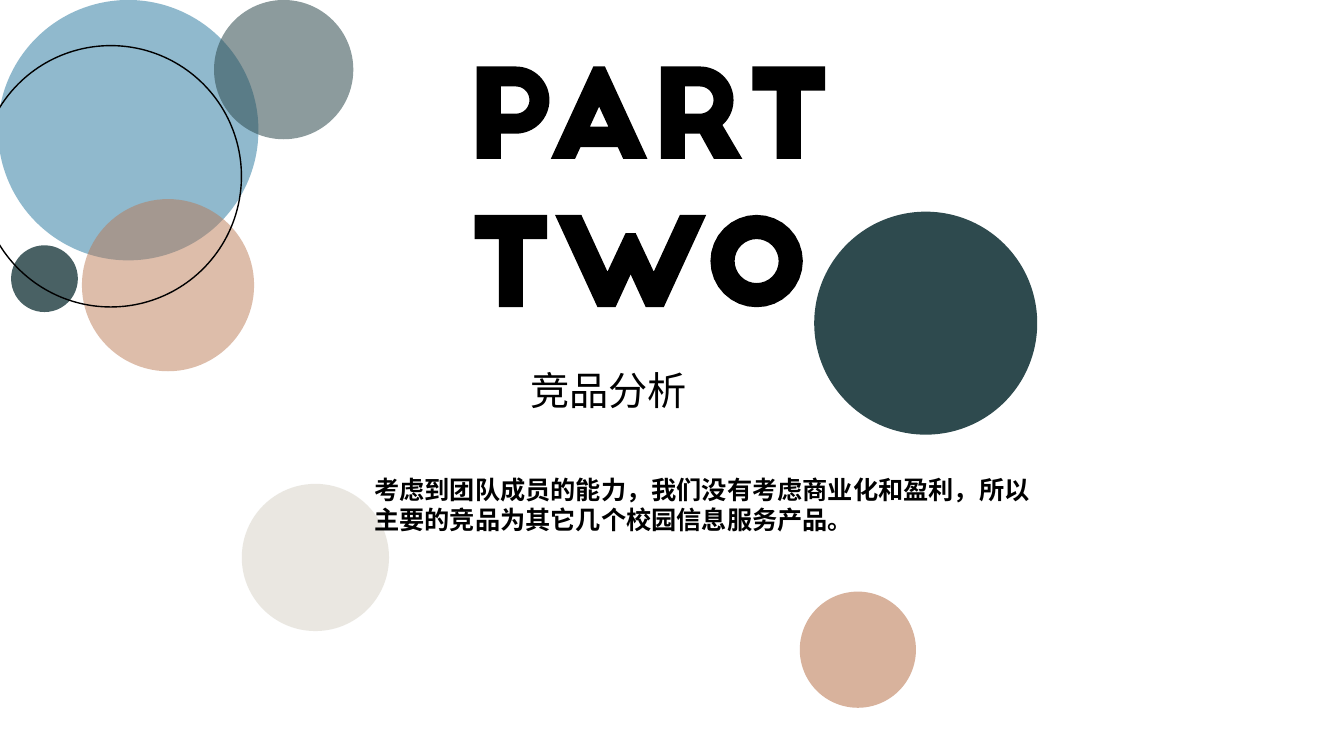
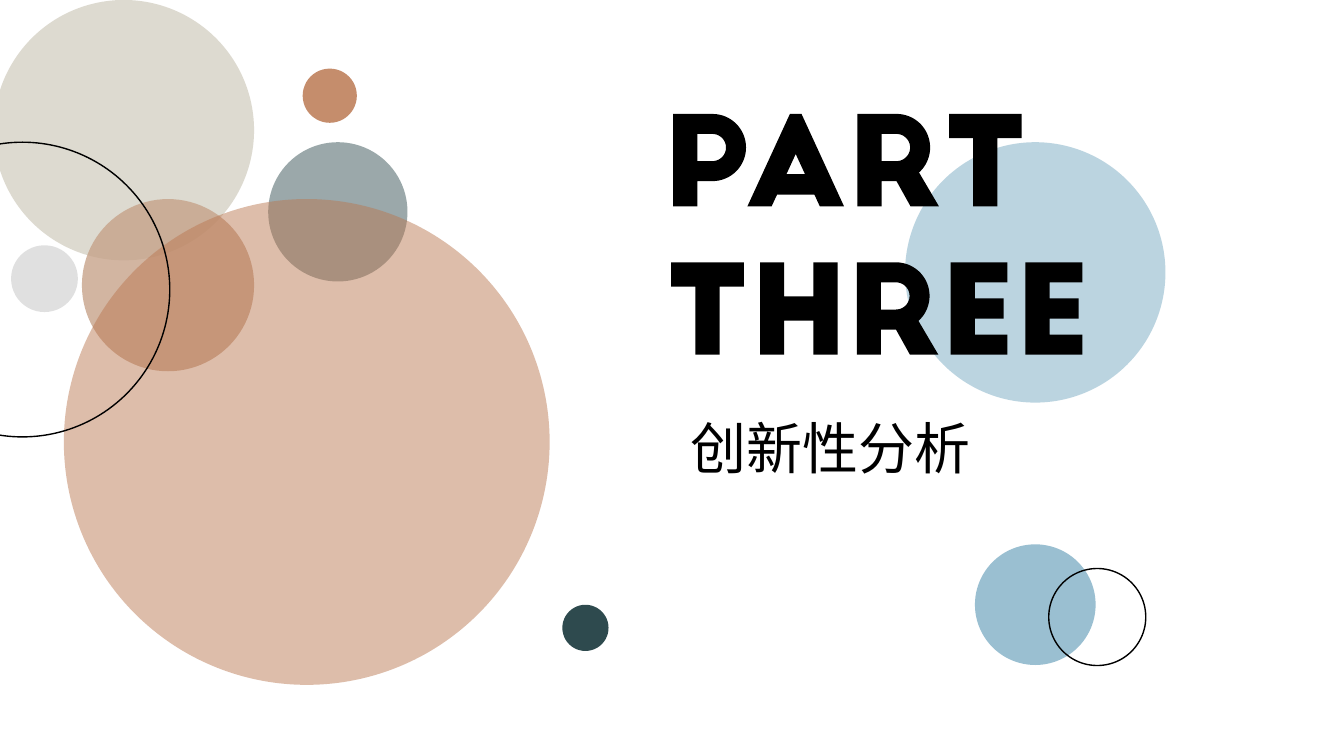
from math import cos, radians, sin

from pptx import Presentation
from pptx.dml.color import RGBColor
from pptx.enum.shapes import MSO_SHAPE
from pptx.enum.text import MSO_AUTO_SIZE
from pptx.oxml.ns import qn
from pptx.util import Pt

OVAL = MSO_SHAPE.OVAL
FIT = MSO_AUTO_SIZE.SHAPE_TO_FIT_TEXT
FONT = "Noto Sans CJK SC"

BLACK = RGBColor(0x00, 0x00, 0x00)
BLUE = RGBColor(0x8B, 0xB6, 0xCB)
TEAL = RGBColor(0x2E, 0x4A, 0x4E)
CLAY = RGBColor(0xBA, 0x76, 0x4F)
SAND = RGBColor(0xD9, 0xD5, 0xCA)
TAN = RGBColor(0xC5, 0xA0, 0x86)
GREY = RGBColor(0xBF, 0xBF, 0xBF)

# Circle sizes that both slides use
BIG, MID, SMALL, TINY = 186, 123, 99.5, 47.7

# Circles: left, top, size, colour, opacity in percent
TWO_DISCS = [
    (-1.4, 0, BIG, BLUE, 95),
    (152.9, 0, SMALL, TEAL, 55),
    (58.5, 142.2, MID, CLAY, 48),
    (571.3, 422.6, 83, CLAY, 56),
    (7.9, 175.2, TINY, TEAL, 87),
    (581.6, 151.2, 159.3, TEAL, 100),
    (172.7, 345.6, 105.2, SAND, 55),
]
THREE_DISCS = [
    (646.5, 101.6, BIG, BLUE, 58),
    (-4.5, 0, BIG, SAND, 87),
    (191.6, 101.6, SMALL, TEAL, 48),
    (58.5, 142.2, MID, TAN, 77),
    (216.2, 49, 38.7, CLAY, 83),
    (45.6, 142.2, 347, CLAY, 48),
    (7.9, 175.2, TINY, GREY, 48),
    (401.7, 432, 33, TEAL, 100),
    (696.4, 388.8, 86.2, BLUE, 87),
]

# Rings: left, top, size
TWO_RINGS = [(-14.2, 32.6, 186.7)]
THREE_RINGS = [(-89.2, 101.6, 210.5), (749.1, 406.1, 69.3)]

# Poster lettering
CAP = 66       # letter height
STEM = 17.3    # stroke width
PITCH = 106    # from one line of the title to the next
SLOPE = 0.46   # sideways run of a slanted edge per point of height
BOWL = 24      # outer radius of the bowl in P and R
ARM = 14.4     # thickness of the arms of E

# Gap before a letter, by pair; a space stands for the start of a word
KERN = {" P": 1.5, "PA": 1, "AR": 9.5, "RT": 7.2, "TW": 5.6, "WO": 3,
        "TH": 11.6, "HR": 13.7, "RE": 8.7, "EE": 12.9}


# Outline helpers
def arc(x, y, size, start=0, end=360, steps=32):
    """Points along an arc, clockwise from start to end in degrees."""
    turns = [radians(start + (end - start) * i / steps) for i in range(steps + 1)]
    return [(x + size * cos(a), y + size * sin(a)) for a in turns]


def fall(top, y):
    """Point at height y on an edge that leans right going down."""
    return top + SLOPE * y, y


def rise(top, y):
    """Point at height y on an edge that leans left going down."""
    return top - SLOPE * y, y


def mirror(half, mid):
    """Complete an outline with its reflection about x = mid."""
    return half + [(2 * mid - x, y) for x, y in reversed(half)]


# Letters: each returns a list of closed outlines
def bowl_form(end, leg):
    """Stem and bowl; the bowl stops at angle end and runs into leg."""
    mid = 28
    outer = [(0, 0), *arc(mid, BOWL, BOWL, -90, end), *leg,
             (STEM, 2 * BOWL), (STEM, CAP), (0, CAP)]
    hole = 9.7
    inner = [(STEM, BOWL - hole), *arc(mid, BOWL, hole, -90, 90),
             (STEM, BOWL + hole)]
    return [outer, inner]


def form_p():
    return bowl_form(90, [])


def form_r():
    return bowl_form(48, [(58.3, CAP), (38, CAP), (28, 2 * BOWL)])


def form_a():
    mid = 34.5
    outside = SLOPE * CAP
    inside = outside + STEM
    foot, bar = 57.6, 43
    outer = mirror([rise(inside, foot), rise(inside, CAP),
                    rise(outside, CAP), rise(outside, 0)], mid)
    peak = (inside - mid) / SLOPE
    hole = mirror([(mid, peak), rise(inside, bar)], mid)
    return [outer, hole]


def form_t():
    return [mirror([(STEM, CAP), (STEM, STEM), (0, STEM), (0, 0)], 1.5 * STEM)]


def form_h():
    top, base = (CAP - STEM) / 2, (CAP + STEM) / 2
    half = [(STEM, base), (STEM, CAP), (0, CAP), (0, 0), (STEM, 0), (STEM, top)]
    return [mirror(half, 27.7)]


def form_w():
    mid, notch, crook, peak = 54, 42.5, 40.6, 13
    outer_v = mid + SLOPE * notch
    half = [(mid, notch), rise(outer_v, CAP), fall(0, CAP), fall(0, 0),
            fall(18.8, 0), fall(18.8, crook), (50.4, peak)]
    return [mirror(half, mid)]


def form_o():
    mid = CAP / 2
    return [arc(mid, mid, mid), arc(mid, mid, mid - STEM)]


def form_e():
    step = (CAP - ARM) / 2
    arms = []
    for row, reach in enumerate((40.6, 38, 40.6)):
        top = row * step
        arms += [(STEM, top), (reach, top), (reach, top + ARM), (STEM, top + ARM)]
    return [[(0, 0), *arms, (0, CAP)]]


LETTERS = {"P": form_p(), "R": form_r(), "A": form_a(), "T": form_t(),
           "H": form_h(), "W": form_w(), "O": form_o(), "E": form_e()}


def set_word(word, x, y):
    """Outlines of a word, letter after letter from its top left corner."""
    lines = []
    last = " "
    for letter in word:
        x += KERN.get(last + letter, 0)
        form = LETTERS[letter]
        lines += [[(x + dx, y + dy) for dx, dy in line] for line in form]
        x += max(dx for dx, dy in form[0])
        last = letter
    return lines


# Slide elements
def paint(shape, color):
    shape.shadow.inherit = False
    shape.fill.solid()
    shape.fill.fore_color.rgb = color
    shape.line.fill.background()


def add_oval(slide, x, y, size):
    return slide.shapes.add_shape(OVAL, Pt(x), Pt(y), Pt(size), Pt(size))


def add_disc(slide, x, y, size, color, alpha):
    disc = add_oval(slide, x, y, size)
    paint(disc, color)
    if alpha < 100:
        tint = disc.element.spPr.find(qn("a:solidFill"))[0]
        tint.append(tint.makeelement(qn("a:alpha"), {"val": str(alpha * 1000)}))


def add_ring(slide, x, y, size):
    ring = add_oval(slide, x, y, size)
    ring.shadow.inherit = False
    ring.fill.background()
    ring.line.color.rgb = BLACK
    ring.line.width = Pt(1)


def add_title(slide, x, y, words):
    """Draw stacked words as one outline shape."""
    pen = None
    for row, word in enumerate(words):
        for line in set_word(word, x, y + row * PITCH):
            first, *rest = [(Pt(px), Pt(py)) for px, py in line]
            if pen is None:
                pen = slide.shapes.build_freeform(*first)
            else:
                pen.move_to(*first)
            pen.add_line_segments(rest, close=True)
    paint(pen.convert_to_shape(), BLACK)


def add_text(slide, x, y, width, height, text, size, bold=False, wrap=True):
    box = slide.shapes.add_textbox(Pt(x), Pt(y), Pt(width), Pt(height))
    frame = box.text_frame
    frame.text = text
    frame.word_wrap = wrap
    frame.auto_size = FIT
    run = frame.paragraphs[0].runs[0]
    run.font.size = Pt(size)
    run.font.bold = bold
    run.font.color.rgb = BLACK
    run.font.name = FONT
    # East Asian typeface
    props = run._r.get_or_add_rPr()
    props.append(props.makeelement(qn("a:ea"), {"typeface": FONT}))


def add_part(deck, discs, rings, x, y, words):
    """Add a section slide with its circles and lettering."""
    slide = deck.slides.add_slide(deck.slide_layouts[6])
    for disc in discs:
        add_disc(slide, *disc)
    for ring in rings:
        add_ring(slide, *ring)
    add_title(slide, x, y, words)
    return slide


def main():
    deck = Presentation()
    deck.slide_width, deck.slide_height = Pt(960), Pt(540)

    # Part two
    slide = add_part(deck, TWO_DISCS, TWO_RINGS, 339, 47.5, ("PART", "TWO"))
    add_text(slide, 371.8, 257.8, 127.4, 41, "竞品分析", 28, wrap=False)
    add_text(slide, 260.3, 335.3, 487.4, 51,
             "考虑到团队成员的能力，我们没有考虑商业化和盈利，"
             "所以主要的竞品为其它几个校园信息服务产品。", 18, bold=True)

    # Part three
    slide = add_part(deck, THREE_DISCS, THREE_RINGS, 479.4, 81.4, ("PART", "THREE"))
    add_text(slide, 486, 291.6, 332.6, 55.4, "创新性分析", 40)

    deck.save("out.pptx")


if __name__ == "__main__":
    main()
